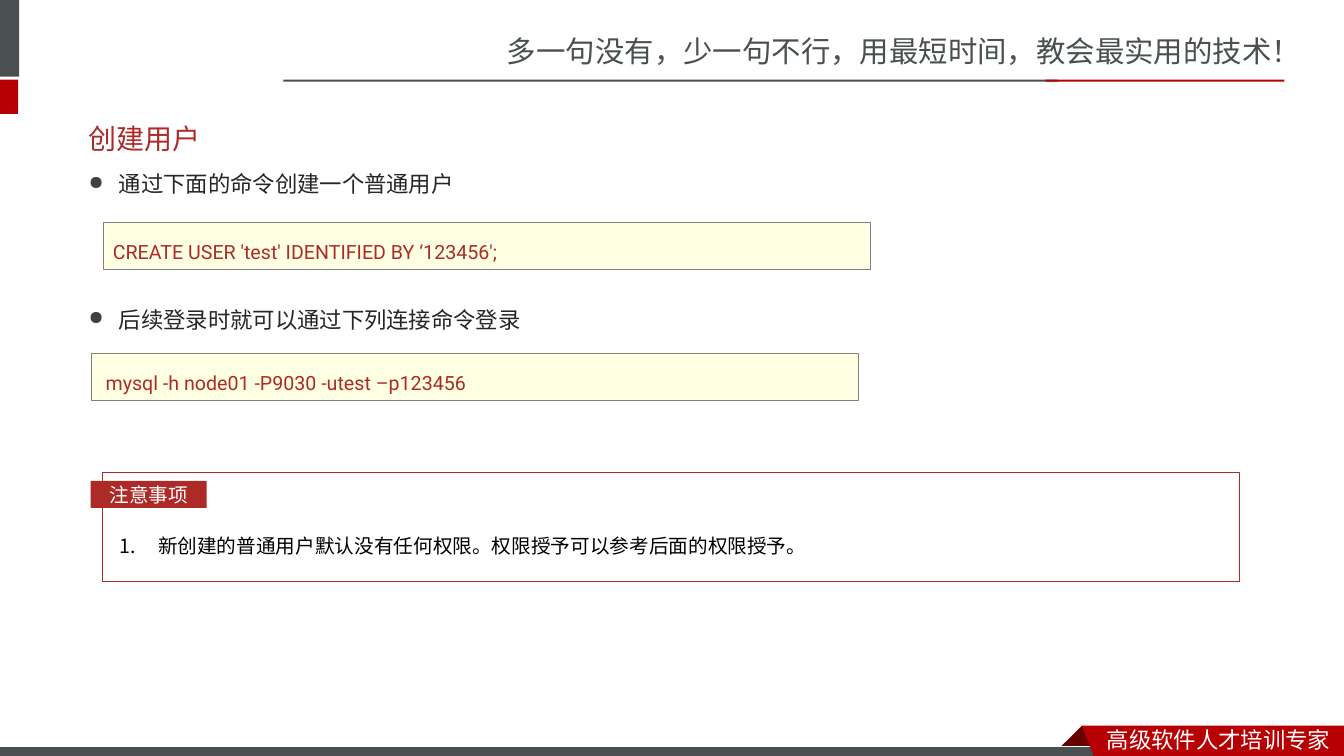
from lxml import etree
from pptx import Presentation
from pptx.dml.color import RGBColor
from pptx.enum.shapes import MSO_SHAPE
from pptx.enum.text import MSO_ANCHOR, PP_ALIGN
from pptx.oxml.ns import qn
from pptx.util import Inches, Pt

RECTANGLE = MSO_SHAPE.RECTANGLE
TOP, MIDDLE = MSO_ANCHOR.TOP, MSO_ANCHOR.MIDDLE
LEFT, CENTER = PP_ALIGN.LEFT, PP_ALIGN.CENTER

COLORS = {
    "gray": "49504F", "red": "B60004", "dark red": "680000",
    "accent": "AD2B26", "title": "AD2A26", "code": "FFFFE4",
    "code border": "808080", "bullet": "404040", "body": "262626",
    "black": "000000", "white": "FFFFFF",
}
CJK, BODY_FONT, TITLE_FONT = "Noto Sans CJK SC", "Roboto", "Arial"

SLOGAN = "多一句没有，少一句不行，用最短时间，教会最实用的技术！"
FOOTER = "高级软件人才培训专家"
TITLE = "创建用户"
STEPS = [  # instruction, its top, command, its left and top
    ("通过下面的命令创建一个普通用户", 1.51,
     "CREATE USER 'test' IDENTIFIED BY ‘123456';", 1.02, 2.2),
    ("后续登录时就可以通过下列连接命令登录", 2.85,
     " mysql -h node01 -P9030 -utest –p123456", 0.9, 3.5),
]
NOTE_LABEL = "注意事项"
NOTE = "新创建的普通用户默认没有任何权限。权限授予可以参考后面的权限授予。"

HEADER_BARS = [  # left, top, width, height, color
    (-0.06, 0, 0.25, 0.76, "gray"),
    (-0.06, 0.79, 0.24, 0.34, "red"),
    (2.81, 0.79, 7.68, 0.02, "gray"),
    (10.37, 0.79, 2.37, 0.02, "red"),
]
RIBBON_FOLD = [(10.73, 7.2), (10.95, 7.42), (10.94, 7.43), (10.52, 7.43), (10.51, 7.42)]
RIBBON = [(10.73, 7.2), (13.33, 7.2), (13.33, 7.54), (10.86, 7.53)]

prs = Presentation()
prs.slide_width, prs.slide_height = Inches(13.33), Inches(7.5)
slide = prs.slides.add_slide(prs.slide_layouts[6])


def rgb(color):
    return RGBColor.from_string(COLORS[color])


def paint(shape, fill=None, border=None, weight=0.75):
    shape.shadow.inherit = False
    if fill:
        shape.fill.solid()
        shape.fill.fore_color.rgb = rgb(fill)
    else:
        shape.fill.background()
    if border:
        shape.line.color.rgb = rgb(border)
        shape.line.width = Pt(weight)
    else:
        shape.line.fill.background()


def add_bar(left, top, width, height, fill=None, border=None, weight=0.75):
    bar = slide.shapes.add_shape(
        RECTANGLE, Inches(left), Inches(top), Inches(width), Inches(height))
    paint(bar, fill, border, weight)
    return bar


def add_outline(points, fill):
    builder = slide.shapes.build_freeform(
        Inches(points[0][0]), Inches(points[0][1]), scale=1.0)
    builder.add_line_segments([(Inches(x), Inches(y)) for x, y in points[1:]], close=True)
    paint(builder.convert_to_shape(), fill)


def write(shape, text, size, color, font, anchor=TOP, align=LEFT, spacing=None):
    frame = shape.text_frame
    frame.word_wrap = True
    frame.vertical_anchor = anchor
    frame.text = text
    paragraph = frame.paragraphs[0]
    paragraph.alignment = align
    if spacing:
        paragraph.line_spacing = spacing
    run = paragraph.runs[0]
    run.font.size = Pt(size)
    run.font.color.rgb = rgb(color)
    run.font.name = font
    east_asian = etree.SubElement(run.font._element, qn("a:ea"))
    east_asian.set("typeface", CJK)
    return paragraph


def add_text(left, top, width, height, *args, **kwargs):
    box = slide.shapes.add_textbox(
        Inches(left), Inches(top), Inches(width), Inches(height))
    return write(box, *args, **kwargs)


def hang(paragraph, indent):
    """Give the paragraph a hanging indent and return its properties element."""
    properties = paragraph._p.get_or_add_pPr()
    properties.set("marL", str(Inches(indent)))
    properties.set("indent", str(-Inches(indent)))
    return properties


def add_dot(paragraph):
    properties = hang(paragraph, 0.3)
    bullet_color = etree.SubElement(properties, qn("a:buClr"))
    etree.SubElement(bullet_color, qn("a:srgbClr")).set("val", COLORS["bullet"])
    etree.SubElement(properties, qn("a:buSzPct")).set("val", "85000")
    etree.SubElement(properties, qn("a:buChar")).set("char", "●")


def add_number(paragraph):
    properties = hang(paragraph, 0.38)
    etree.SubElement(properties, qn("a:buAutoNum")).set("type", "arabicPeriod")


# Header and footer
add_text(4.93, 0.28, 8.41, 0.47, SLOGAN, 21, "gray", CJK)
for bar in HEADER_BARS:
    add_bar(*bar)
add_outline(RIBBON_FOLD, "dark red")
add_bar(-0.01, 7.41, 11, 0.12, "gray", "white")
add_outline(RIBBON, "red")
add_text(10.88, 7.15, 2.45, 0.37, FOOTER, 16, "white", CJK)

# Title and steps
add_text(0.78, 1.09, 10.77, 0.57, TITLE, 20, "title", TITLE_FONT, anchor=MIDDLE)
for instruction, top, command, command_left, command_top in STEPS:
    add_dot(add_text(0.78, top, 11.92, 0.55, instruction, 16, "body", BODY_FONT, spacing=1.5))
    command_box = add_bar(command_left, command_top, 7.61, 0.47, "code", "code border", 0.25)
    write(command_box, command, 14, "accent", BODY_FONT, anchor=MIDDLE, spacing=1.5)

# Note
add_bar(1.02, 4.69, 11.27, 1.08, border="accent")
write(add_bar(0.9, 4.77, 1.15, 0.27, "accent"), NOTE_LABEL, 14, "white", BODY_FONT,
      anchor=MIDDLE, align=CENTER)
add_number(add_text(1.09, 5.13, 11.13, 0.45, NOTE, 14, "black", BODY_FONT, spacing=1.5))

prs.save("out.pptx")
